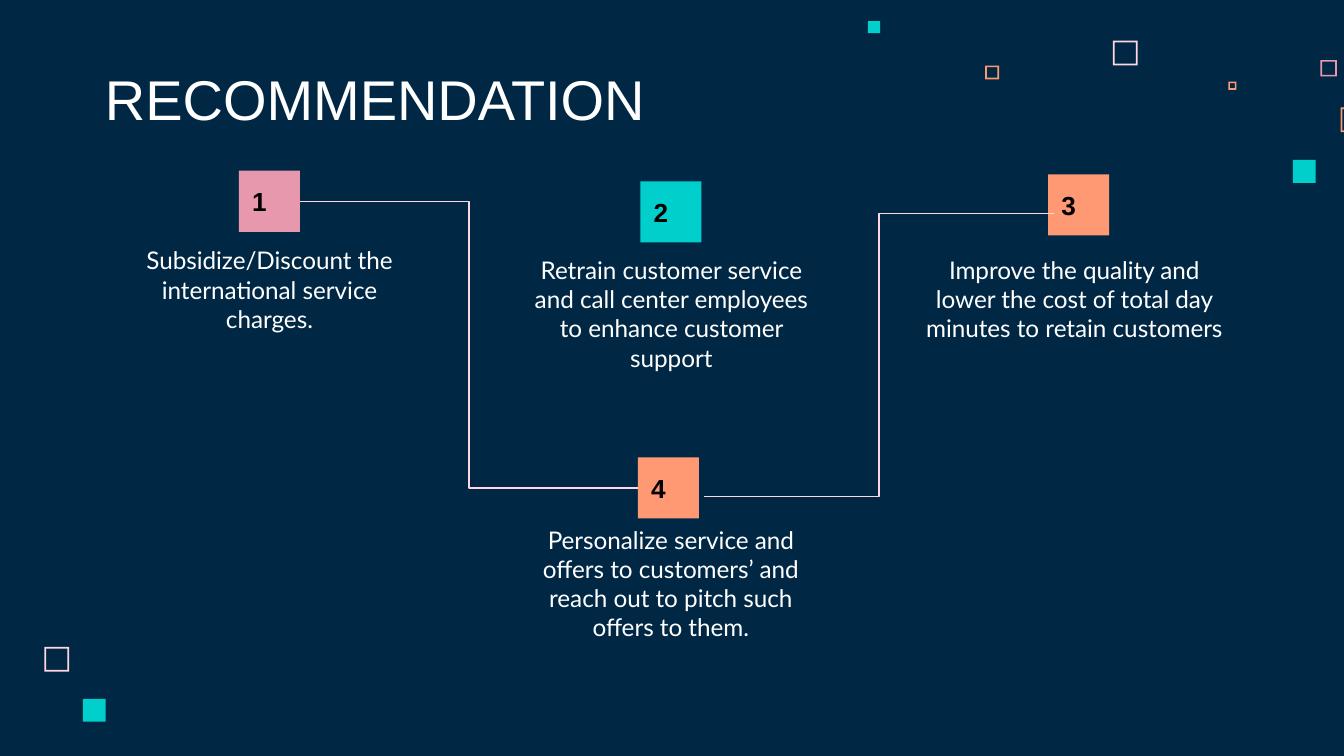
from dataclasses import dataclass

from lxml import etree
from pptx import Presentation
from pptx.dml.color import RGBColor
from pptx.enum.shapes import MSO_CONNECTOR, MSO_SHAPE
from pptx.enum.text import MSO_ANCHOR, MSO_AUTO_SIZE, PP_ALIGN
from pptx.oxml.ns import qn
from pptx.util import Pt

RECTANGLE = MSO_SHAPE.RECTANGLE
FRAME = MSO_SHAPE.FRAME
ELBOW = MSO_CONNECTOR.ELBOW
TOP, MIDDLE, BOTTOM = MSO_ANCHOR.TOP, MSO_ANCHOR.MIDDLE, MSO_ANCHOR.BOTTOM
LEFT, CENTER = PP_ALIGN.LEFT, PP_ALIGN.CENTER
NO_AUTOFIT = MSO_AUTO_SIZE.NONE
COMPARISON_LAYOUT = 4


@dataclass(frozen=True)
class Theme:
    navy: str = "002845"
    white: str = "FFFFFF"
    black: str = "000000"
    blush: str = "FFD6E1"
    pink: str = "E898AC"
    orange: str = "FF9973"
    teal: str = "00CFCC"
    heading_font: str = "Arial"
    body_font: str = "Lato"
    title_size: float = 30
    body_size: float = 13
    number_size: float = 14
    inset: float = 7.2
    marker_side: float = 32.7
    frame_width: float = 0.9
    line_width: float = 0.75


THEME = Theme()


@dataclass(frozen=True)
class Box:
    left: float
    top: float
    width: float
    height: float


@dataclass(frozen=True)
class Square:
    left: float
    top: float
    side: float
    color: str
    hollow: bool = False


@dataclass(frozen=True)
class Recommendation:
    text: str
    box: Box
    marker_left: float
    marker_top: float
    color: str


@dataclass(frozen=True)
class Link:
    start: tuple[float, float]
    end: tuple[float, float]


SQUARES = [
    Square(596.2, 21.8, 13.2, THEME.blush, True),
    Square(707.4, 32.2, 8.8, THEME.pink, True),
    Square(658, 43.7, 4.4, THEME.orange, True),
    Square(718.2, 57.6, 13.2, THEME.orange, True),
    Square(692.6, 85.7, 12.3, THEME.teal),
    Square(527.8, 35.1, 7.4, THEME.orange, True),
    Square(465, 11.3, 6.5, THEME.teal),
    Square(23.8, 346.6, 13.2, THEME.blush, True),
    Square(44.4, 374.4, 12.3, THEME.teal),
]

RECOMMENDATIONS = [
    Recommendation("Subsidize/Discount the international service charges.",
                   Box(57.6, 124.4, 173.5, 65), 128, 91.5, THEME.pink),
    Recommendation("Retrain customer service and call center employees to enhance customer support",
                   Box(272.9, 129.6, 173.5, 65), 343.1, 97.2, THEME.teal),
    Recommendation("Improve the quality and lower the cost of total day minutes to retain customers",
                   Box(486, 129.6, 178.9, 65), 561.5, 93.5, THEME.orange),
    Recommendation("Personalize service and offers to customers’ and reach out to pitch such offers to them.",
                   Box(278, 274, 162.7, 65), 341.8, 245, THEME.orange),
]

LINKS = [
    Link((160.6, 108), (341.8, 261.4)),
    Link((377.2, 266), (564.5, 114.3)),
]


def rgb(value: str) -> RGBColor:
    return RGBColor.from_string(value)


def write(shape, text: str, font: str, size: float, color: str,
          align: PP_ALIGN, anchor: MSO_ANCHOR, bold: bool = False) -> None:
    frame = shape.text_frame
    frame.word_wrap = True
    frame.auto_size = NO_AUTOFIT
    frame.vertical_anchor = anchor
    frame.margin_left = frame.margin_right = Pt(THEME.inset)
    frame.margin_top = frame.margin_bottom = Pt(THEME.inset)
    para = frame.paragraphs[0]
    para.text = text
    para.alignment = align
    para.space_before = Pt(0)
    para.font.name = font
    para.font.size = Pt(size)
    para.font.bold = bold
    para.font.color.rgb = rgb(color)


def place(shape, box: Box) -> None:
    shape.left, shape.top = Pt(box.left), Pt(box.top)
    shape.width, shape.height = Pt(box.width), Pt(box.height)


def remove_bullet(shape) -> None:
    properties = shape.text_frame.paragraphs[0]._p.get_or_add_pPr()
    properties.set("marL", "0")
    properties.set("indent", "0")
    bullet = etree.Element(qn("a:buNone"))
    properties.find(qn("a:spcBef")).addnext(bullet)


def draw_square(slide, square: Square):
    kind = FRAME if square.hollow else RECTANGLE
    shape = slide.shapes.add_shape(kind, Pt(square.left), Pt(square.top),
                                   Pt(square.side), Pt(square.side))
    if square.hollow:
        shape.adjustments[0] = THEME.frame_width / square.side
    shape.shadow.inherit = False
    shape.fill.solid()
    shape.fill.fore_color.rgb = rgb(square.color)
    shape.line.fill.background()
    return shape


def draw_recommendation(slide, number: int, item: Recommendation) -> None:
    body = slide.placeholders[number]
    place(body, item.box)
    write(body, item.text, THEME.body_font, THEME.body_size, THEME.white, CENTER, TOP)
    remove_bullet(body)
    marker = draw_square(slide, Square(item.marker_left, item.marker_top,
                                       THEME.marker_side, item.color))
    write(marker, str(number), THEME.heading_font, THEME.number_size,
          THEME.black, LEFT, MIDDLE, bold=True)


def draw_link(slide, link: Link) -> None:
    connector = slide.shapes.add_connector(ELBOW, *map(Pt, link.start + link.end))
    connector.line.color.rgb = rgb(THEME.blush)
    connector.line.width = Pt(THEME.line_width)
    etree.SubElement(connector._element.spPr, qn("a:effectLst"))


def main() -> None:
    deck = Presentation()
    deck.slide_width, deck.slide_height = Pt(720), Pt(405)
    slide = deck.slides.add_slide(deck.slide_layouts[COMPARISON_LAYOUT])
    slide.background.fill.solid()
    slide.background.fill.fore_color.rgb = rgb(THEME.navy)

    for square in SQUARES:
        draw_square(slide, square)
    title = slide.shapes.title
    place(title, Box(49, 32.4, 372.2, 45.4))
    write(title, "RECOMMENDATION", THEME.heading_font, THEME.title_size,
          THEME.white, LEFT, BOTTOM)
    for number, item in enumerate(RECOMMENDATIONS, start=1):
        draw_recommendation(slide, number, item)
    for link in LINKS:
        draw_link(slide, link)
    deck.save("out.pptx")


if __name__ == "__main__":
    main()
